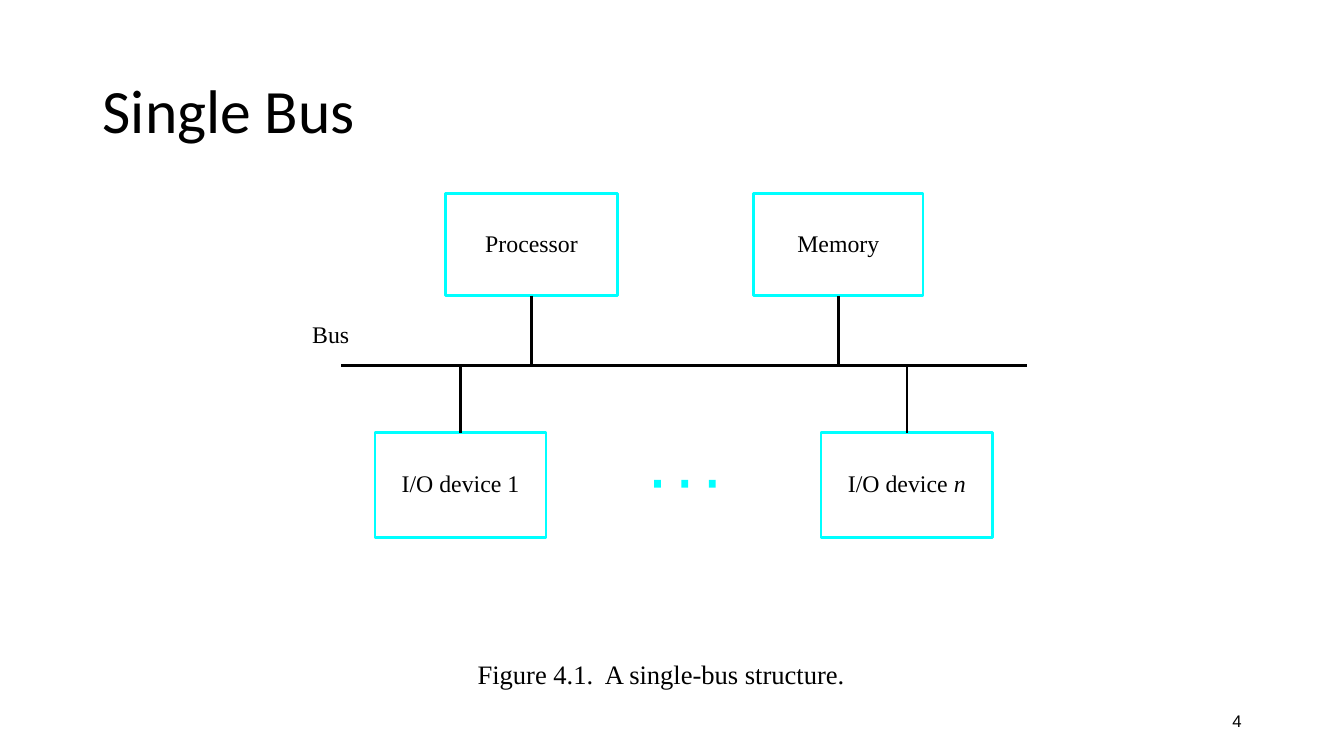
import pptx
import pptx.util
import pptx.dml.color
import pptx.enum.shapes
import pptx.enum.text
import pptx.oxml.ns
import lxml.etree

Cm = pptx.util.Cm
Pt = pptx.util.Pt
Align = pptx.enum.text.PP_ALIGN
Anchor = pptx.enum.text.MSO_ANCHOR
Shape = pptx.enum.shapes.MSO_SHAPE
TOP, BOTTOM = 0, 2


def color(code):
    return pptx.dml.color.RGBColor.from_string(code)


class Board:
    ink = "000000"
    edge = "00FFFF"
    width = Pt(1.87)
    label = {"name": "Times New Roman", "size": Pt(17)}

    def __init__(self, slide):
        self.slide = slide

    def fill(self, shape, runs, font, align, anchor, inset=(0, 0)):
        """Fill a shape with runs, each a (text, extra font values) pair."""
        side, end = map(Cm, inset)
        frame = shape.text_frame
        values = {"word_wrap": True, "vertical_anchor": anchor,
                  "margin_left": side, "margin_right": side,
                  "margin_top": end, "margin_bottom": end}
        for key, value in values.items():
            setattr(frame, key, value)
        para = frame.paragraphs[0]
        para.alignment = align
        for text, extra in runs:
            run = para.add_run()
            run.text = text
            for key, value in {**font, **extra}.items():
                setattr(run.font, key, value)
            run.font.color.rgb = color(self.ink)
        return para

    def text(self, area, text, font, align=Align.LEFT, anchor=Anchor.TOP,
             inset=(0, 0)):
        shape = self.slide.shapes.add_textbox(*map(Cm, area))
        return self.fill(shape, [(text, {})], font, align, anchor, inset)

    def rect(self, area):
        shape = self.slide.shapes.add_shape(Shape.RECTANGLE, *map(Cm, area))
        shape.shadow.inherit = False
        return shape

    def box(self, area, runs):
        shape = self.rect(area)
        shape.fill.background()
        shape.line.color.rgb = color(self.edge)
        shape.line.width = self.width
        self.fill(shape, runs, self.label, Align.CENTER, Anchor.MIDDLE)
        shape.text_frame.margin_bottom = Cm(0.1)
        return shape

    def dot(self, area):
        shape = self.rect(area)
        shape.fill.solid()
        shape.fill.fore_color.rgb = color(self.edge)
        shape.line.fill.background()

    def line(self, start, end):
        link = self.slide.shapes.add_connector(
            pptx.enum.shapes.MSO_CONNECTOR.STRAIGHT, *start, *end)
        link.line.color.rgb = color(self.ink)
        link.line.width = self.width
        lxml.etree.SubElement(link._element.spPr,
                              pptx.oxml.ns.qn("a:effectLst"))
        return link

    def stub(self, box, side, level):
        """Join the middle of a box side to the bus."""
        mid = box.left + box.width // 2
        edge = box.top + (box.height if side == BOTTOM else 0)
        self.line((mid, edge), (mid, level)).begin_connect(box, side)


def main():
    deck = pptx.Presentation()
    deck.slide_width, deck.slide_height = Cm(33.88), Cm(19.05)
    board = Board(deck.slides.add_slide(deck.slide_layouts[6]))

    # Title and page number
    title = board.text((2.34, 1.02, 29.21, 3.68), "Single Bus",
                       {"name": "Calibri", "size": Pt(44)},
                       anchor=Anchor.MIDDLE, inset=(0.25, 0.13))
    title.line_spacing = 0.9
    board.text((23.93, 17.65, 7.62, 1.02), "4",
               {"name": "Arial", "size": Pt(12)},
               Align.RIGHT, Anchor.MIDDLE, (0.25, 0.13))

    # Bus
    level = Cm(9.21)
    board.line((Cm(8.6), level), (Cm(25.9), level))
    board.text((7.87, 8.05, 1.2, 0.71), "Bus", board.label)

    # Units above and below the bus
    upper, lower = (4.88, 2.57), (10.9, 2.64)
    units = [
        (11.23, 4.34, upper, BOTTOM, [("Processor", {})]),
        (19.0, 4.27, upper, BOTTOM, [("Memory", {})]),
        (9.45, 4.32, lower, TOP, [("I/O device 1", {})]),
        (20.7, 4.32, lower, TOP,
         [("I/O device ", {}), ("n", {"italic": True})]),
    ]
    for left, width, (top, height), side, runs in units:
        box = board.box((left, top, width, height), runs)
        board.stub(box, side, level)

    # Dots between the devices
    for step in range(3):
        board.dot((16.49 + 0.69 * step, 12.09, 0.17, 0.2))

    # Caption
    board.text((12.04, 16.59, 10, 0.81),
               "Figure 4.1.  A single-bus structure.",
               {"name": "Times New Roman", "size": Pt(19)})

    deck.save("out.pptx")


if __name__ == "__main__":
    main()
